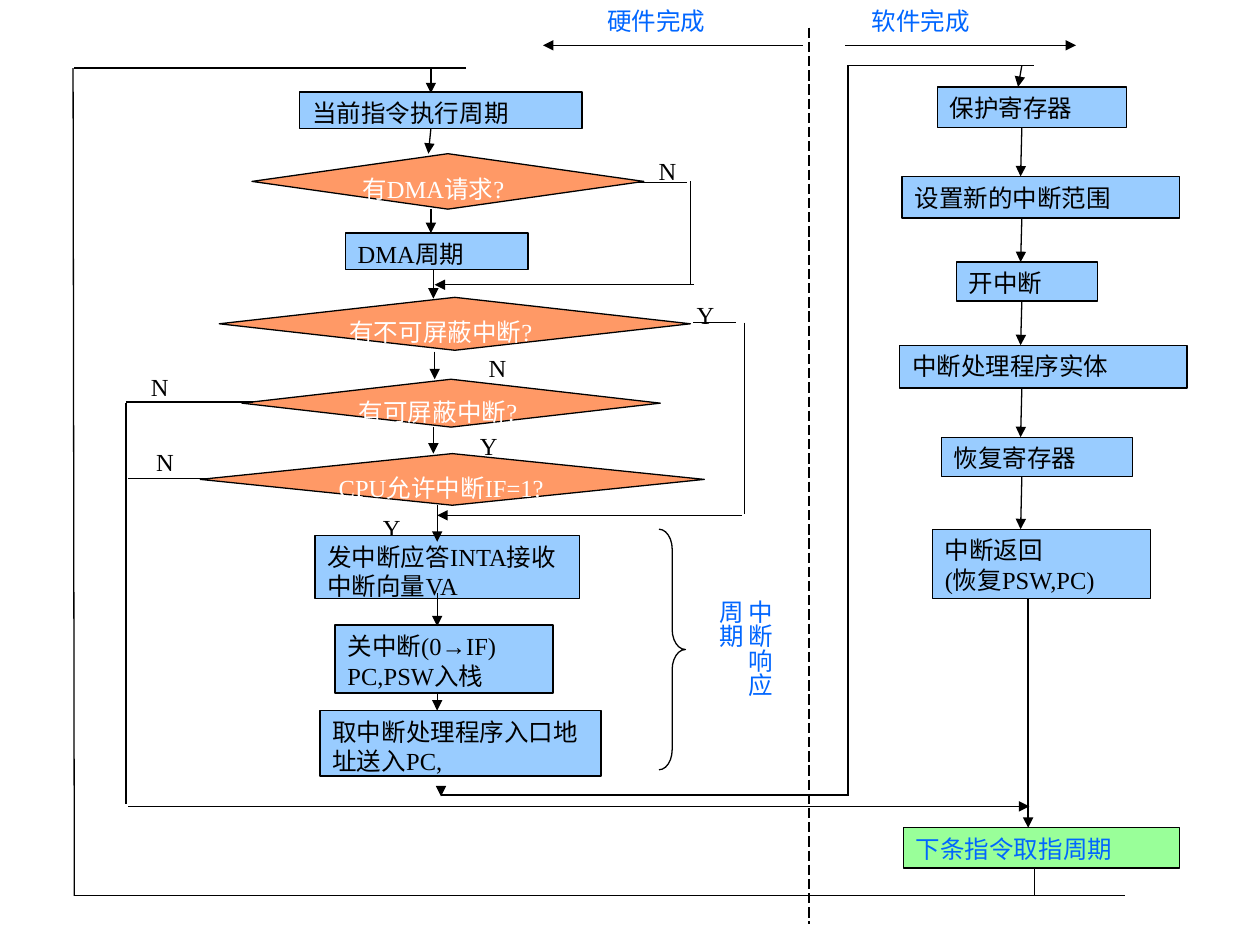
"""Flowchart of interrupt handling, split into hardware and software steps."""
import itertools
from dataclasses import dataclass

import pptx
import pptx.dml.color
import pptx.enum.dml
import pptx.enum.shapes
import pptx.enum.text
import pptx.oxml
import pptx.oxml.ns
import pptx.slide
import pptx.util

PX = 9144
FONT = "Times New Roman"
BLACK, WHITE, BLUE = "000000", "FFFFFF", "0066FF"
SKY, GREEN, ORANGE = "99CCFF", "99FF99", "FF9966"
SHAPE = pptx.enum.shapes.MSO_SHAPE
ALIGN = pptx.enum.text.PP_ALIGN


@dataclass(frozen=True)
class Node:
    text: str
    left: int
    top: int
    width: int
    height: int
    fill: str = SKY
    color: str = BLACK
    kind: int = SHAPE.RECTANGLE
    align: int = ALIGN.LEFT


@dataclass(frozen=True)
class Label:
    text: str
    left: int
    top: int
    width: int = 57
    height: int = 24
    color: str = BLACK
    vertical: bool = False


@dataclass(frozen=True)
class Line:
    x1: int
    y1: int
    x2: int
    y2: int
    arrow: bool = False
    dashed: bool = False


def px(*values: int) -> list[int]:
    """Turn lengths in px into EMU."""
    return [pptx.util.Emu(value * PX) for value in values]


def rgb(color: str) -> pptx.dml.color.RGBColor:
    """Turn a hex string into a colour."""
    return pptx.dml.color.RGBColor.from_string(color)


def write(frame, text: str, color: str, align: int) -> None:
    """Fill a text frame with one paragraph per line of text."""
    frame.word_wrap = True
    frame.vertical_anchor = pptx.enum.text.MSO_ANCHOR.TOP
    for index, line in enumerate(text.split("\n")):
        para = frame.add_paragraph() if index else frame.paragraphs[0]
        para.alignment = align
        span = para.add_run()
        span.text = line
        span.font.name = FONT
        span.font.size = pptx.util.Pt(14)
        span.font.color.rgb = rgb(color)


def outline(line) -> None:
    """Give a line its colour and width."""
    line.color.rgb = rgb(BLACK)
    line.width = pptx.util.Pt(0.75)


def draw_node(page: pptx.slide.Slide, node: Node) -> None:
    """Draw a step or decision with its text."""
    place = px(node.left, node.top, node.width, node.height)
    shape = page.shapes.add_shape(node.kind, *place)
    shape.shadow.inherit = False
    shape.fill.solid()
    shape.fill.fore_color.rgb = rgb(node.fill)
    outline(shape.line)
    write(shape.text_frame, node.text, node.color, node.align)


def draw_label(page: pptx.slide.Slide, label: Label) -> None:
    """Draw free text, horizontal or vertical."""
    place = px(label.left, label.top, label.width, label.height)
    box = page.shapes.add_textbox(*place)
    write(box.text_frame, label.text, label.color, ALIGN.JUSTIFY)
    if label.vertical:
        box.text_frame._txBody.bodyPr.set("vert", "eaVert")


def draw_line(page: pptx.slide.Slide, line: Line) -> None:
    """Draw a straight line, with an arrowhead or dashes if asked."""
    ends = px(line.x1, line.y1, line.x2, line.y2)
    connector = page.shapes.add_connector(
        pptx.enum.shapes.MSO_CONNECTOR.STRAIGHT, *ends)
    outline(connector.line)
    if line.dashed:
        connector.line.dash_style = pptx.enum.dml.MSO_LINE.LONG_DASH
    if line.arrow:
        head = pptx.oxml.parse_xml(
            f'<a:tailEnd {pptx.oxml.ns.nsdecls("a")} type="triangle"/>')
        connector.line._get_or_add_ln().append(head)
    connector._element.spPr.append(pptx.oxml.parse_xml(
        f'<a:effectLst {pptx.oxml.ns.nsdecls("a")}/>'))


def draw_brace(page: pptx.slide.Slide) -> None:
    """Draw the brace that spans the interrupt response cycle."""
    brace = page.shapes.add_shape(SHAPE.RIGHT_BRACE, *px(523, 420, 21, 191))
    brace.shadow.inherit = False
    brace.adjustments[0] = 0.76
    brace.fill.background()
    outline(brace.line)


def decision(text: str, left: int, top: int, width: int, height: int) -> Node:
    """Describe a decision diamond."""
    return Node(text, left, top, width, height, ORANGE, WHITE,
                SHAPE.FLOWCHART_DECISION)


HARDWARE = [
    Node("当前指令执行周期", 238, 73, 224, 29),
    Node("DMA周期", 274, 185, 145, 29),
    Node("发中断应答INTA接收中断向量VA", 250, 425, 210, 50),
    Node("关中断(0→IF)\nPC,PSW入栈", 266, 496, 173, 54),
    Node("取中断处理程序入口地址送入PC,", 254, 564, 223, 52),
    decision("有DMA请求?", 200, 122, 311, 44),
    decision("有不可屏蔽中断?", 174, 236, 374, 42),
    decision("有可屏蔽中断?", 192, 301, 332, 38),
    decision("CPU允许中断IF=1?", 159, 360, 400, 41),
]
SOFTWARE = [
    Node("保护寄存器", 744, 69, 150, 32),
    Node("设置新的中断范围", 716, 140, 220, 33),
    Node("开中断", 759, 208, 112, 31),
    Node("中断处理程序实体", 714, 274, 228, 34),
    Node("恢复寄存器", 747, 347, 152, 31),
    Node("中断返回\n(恢复PSW,PC)", 740, 420, 173, 55),
]
NEXT_FETCH = Node("下条指令取指周期", 717, 657, 219, 32, GREEN, BLUE,
                  align=ALIGN.JUSTIFY)
LABELS = [
    Label("Y", 294, 402), Label("N", 378, 275), Label("Y", 543, 233),
    Label("Y", 371, 337), Label("N", 513, 119), Label("N", 110, 290),
    Label("N", 114, 350),
    Label("硬件完成", 472, 0, 137, 27, BLUE),
    Label("软件完成", 682, 0, 137, 27, BLUE),
    Label("中断响应\n周期", 559, 466, 61, 99, BLUE, True),
]
ARROWS = [
    (342, 54, 342, 74), (342, 102, 340, 122), (342, 166, 342, 185),
    (344, 214, 344, 237), (345, 279, 345, 301), (344, 339, 344, 360),
    (347, 401, 347, 430), (347, 471, 347, 497), (347, 550, 347, 564),
    (589, 409, 347, 409), (551, 226, 345, 226), (350, 625, 350, 632),
    (811, 52, 808, 69), (816, 475, 816, 657), (102, 640, 817, 640),
    (671, 36, 854, 36), (637, 36, 431, 36),
]
PLAIN_LINES = [
    (550, 256, 584, 256), (591, 256, 591, 408), (507, 145, 545, 145),
    (548, 144, 548, 225), (350, 631, 674, 631), (673, 631, 673, 52),
    (673, 52, 821, 52), (201, 319, 100, 319), (100, 320, 100, 638),
    (165, 380, 102, 380), (370, 54, 59, 54), (58, 54, 59, 711),
    (59, 711, 893, 711), (821, 711, 821, 690),
]


def main() -> None:
    """Build the deck and save it."""
    deck = pptx.Presentation()
    deck.slide_width, deck.slide_height = px(1000, 750)
    page = deck.slides.add_slide(deck.slide_layouts[6])
    for label in LABELS:
        draw_label(page, label)
    for node in [*HARDWARE, *SOFTWARE, NEXT_FETCH]:
        draw_node(page, node)
    for upper, lower in itertools.pairwise(SOFTWARE):
        draw_line(page, Line(811, upper.top + upper.height, 810, lower.top, True))
    for ends in ARROWS:
        draw_line(page, Line(*ends, arrow=True))
    for ends in PLAIN_LINES:
        draw_line(page, Line(*ends))
    draw_line(page, Line(642, 22, 642, 733, dashed=True))
    draw_brace(page)
    deck.save("out.pptx")


if __name__ == "__main__":
    main()
